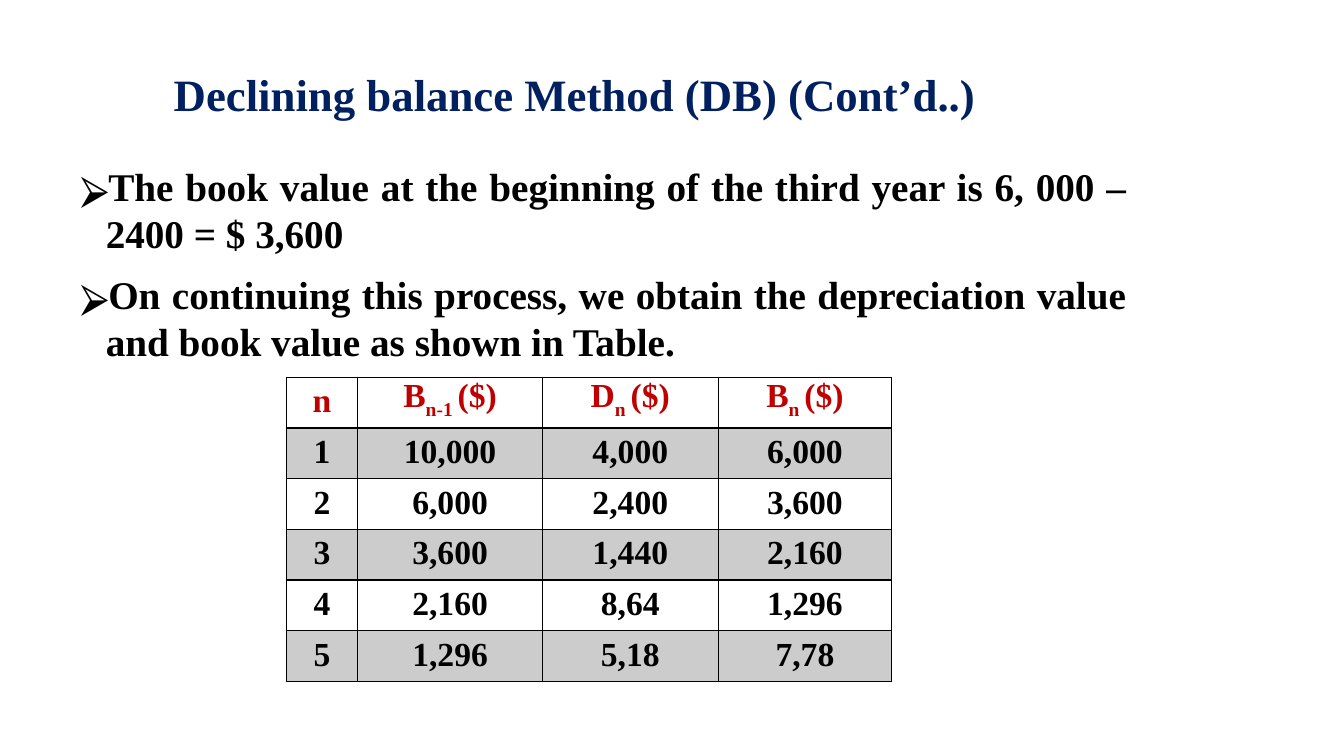
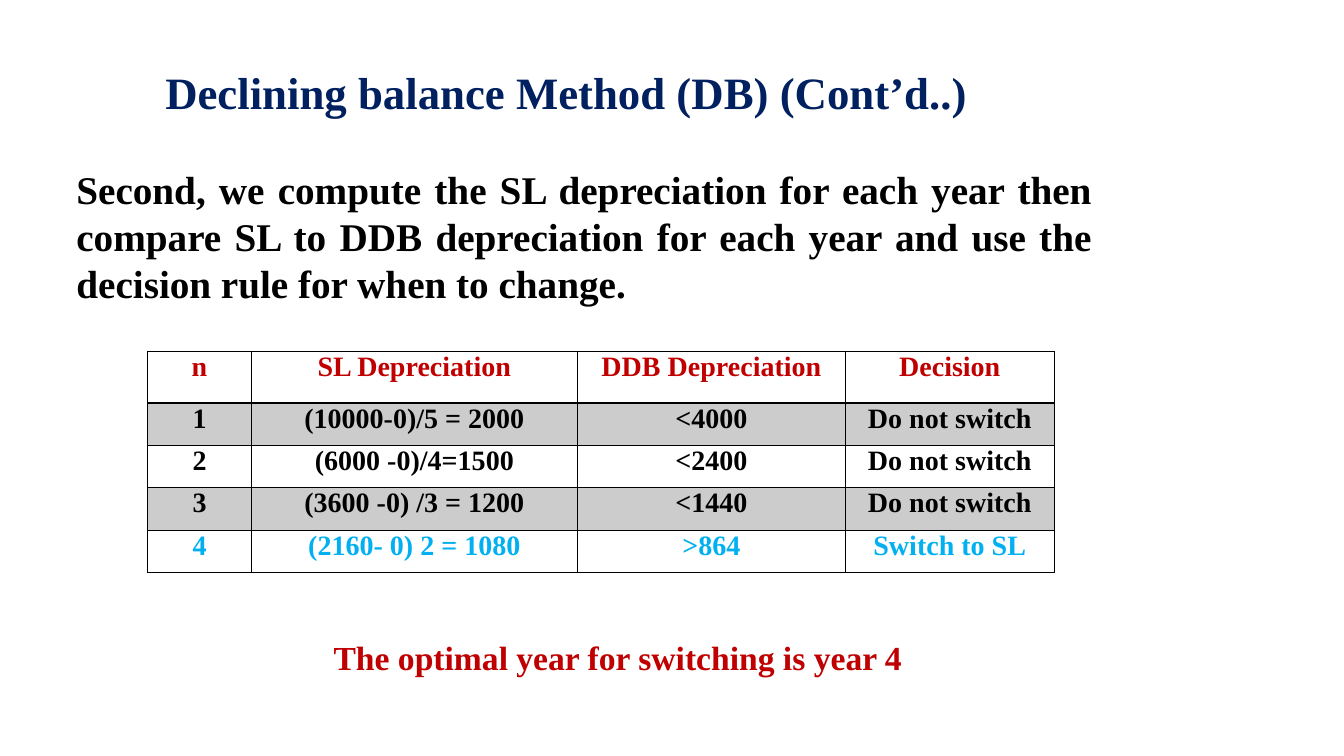
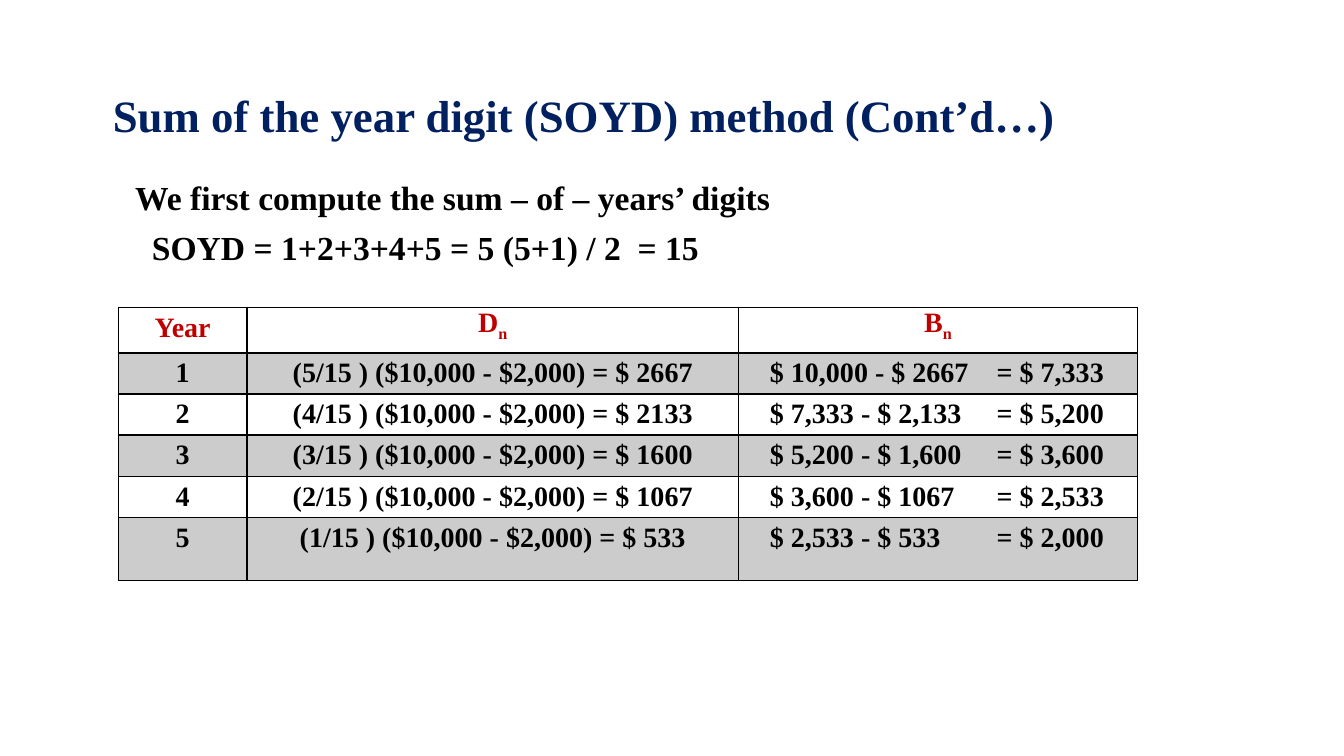
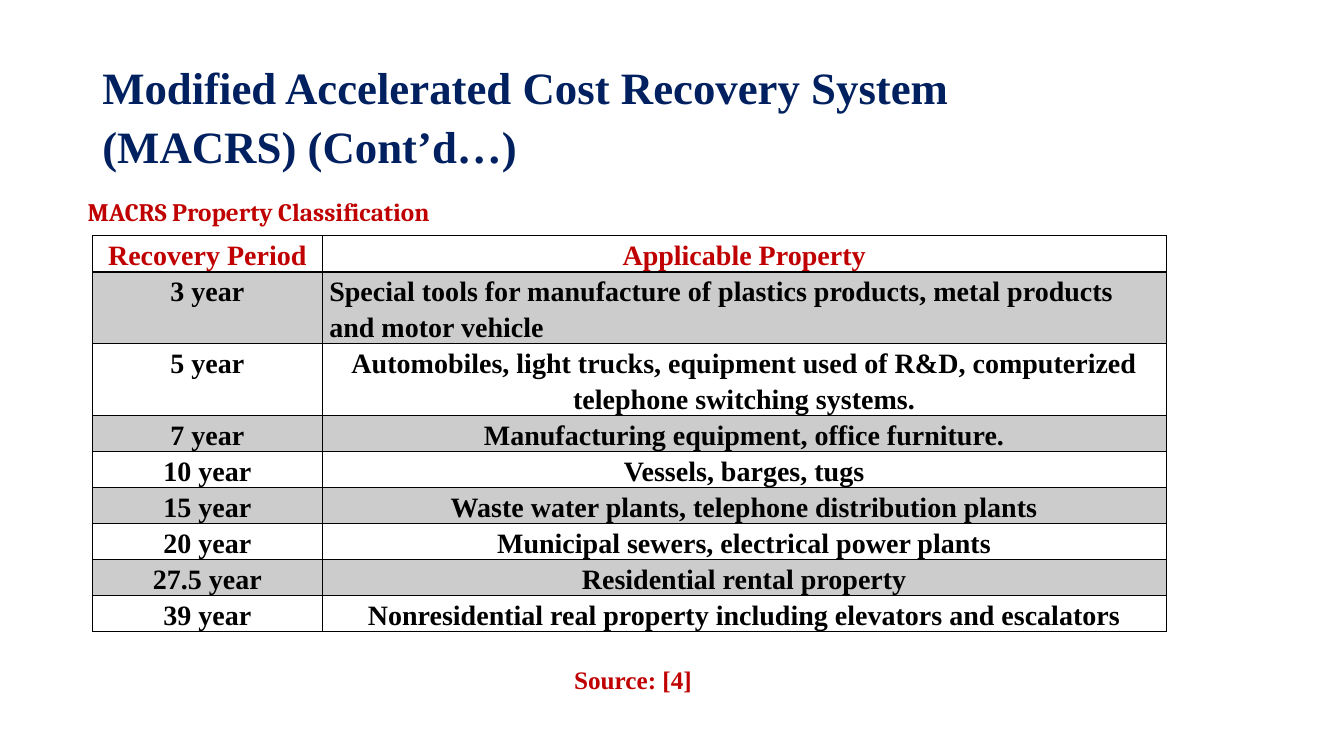
import pptx
import pptx.util
import pptx.dml.color
import pptx.enum.text
import pptx.oxml.ns
import lxml.etree

Pt = pptx.util.Pt
ALIGN = pptx.enum.text.PP_ALIGN
ANCHOR = pptx.enum.text.MSO_ANCHOR

COLORS = {
    "title": "002060",
    "accent": "C00000",
    "text": "000000",
    "switch": "00B0F0",
    "band": "CCCCCC",
}
SERIF = "Times New Roman"
TIGHT_MARGINS = (5, 0, 5, 0)
ROOMY_MARGINS = (7.2, 3.6, 7.2, 3.6)


def rgb(name):
    return pptx.dml.color.RGBColor.from_string(COLORS[name])


def add_xml(parent, tag, **attributes):
    element = lxml.etree.SubElement(parent, pptx.oxml.ns.qn(tag))
    for key, value in attributes.items():
        element.set(key, str(value))
    return element


def add_bullet(paragraph, indent):
    properties = paragraph._p.get_or_add_pPr()
    properties.set("marL", str(Pt(indent)))
    properties.set("indent", str(-Pt(indent)))
    color = add_xml(properties, "a:buClr")
    add_xml(color, "a:srgbClr", val=COLORS["text"])
    add_xml(properties, "a:buFont", typeface="Noto Sans Symbols")
    add_xml(properties, "a:buChar", char="⮚")


def add_tab_stop(paragraph, position):
    tabs = add_xml(paragraph._p.get_or_add_pPr(), "a:tabLst")
    add_xml(tabs, "a:tab", pos=Pt(position), algn="l")


def style(paragraph, size, color, align=ALIGN.LEFT, spacing=1.0, font=SERIF):
    paragraph.alignment = align
    paragraph.line_spacing = spacing
    paragraph.font.name = font
    paragraph.font.size = Pt(size)
    paragraph.font.bold = True
    paragraph.font.color.rgb = rgb(color)


def add_text(slide, box, lines, size, color, align=ALIGN.LEFT, spacing=1.0,
             font=SERIF, anchor=ANCHOR.TOP, bullet_indent=0, indents=()):
    frame = slide.shapes.add_textbox(*map(Pt, box)).text_frame
    frame.word_wrap = True
    frame.vertical_anchor = anchor
    for index, line in enumerate(lines):
        paragraph = frame.add_paragraph() if index else frame.paragraphs[0]
        paragraph.add_run().text = line
        if bullet_indent:
            add_bullet(paragraph, bullet_indent)
        if indents:
            paragraph._p.get_or_add_pPr().set("marL", str(Pt(indents[index])))
        style(paragraph, size, color, align, spacing, font)
        if index:
            paragraph.space_before = Pt(10)


def add_title(slide, box, title, spacing=0.9):
    add_text(slide, box, [title], 32, "title", spacing=spacing, anchor=ANCHOR.MIDDLE)


def add_borders(cell, bottom_width):
    properties = cell._tc.get_or_add_tcPr()
    for side, width in (("L", 1), ("R", 1), ("T", 1), ("B", bottom_width)):
        line = add_xml(properties, f"a:ln{side}", w=Pt(width))
        fill = add_xml(line, "a:solidFill")
        add_xml(fill, "a:srgbClr", val=COLORS["text"])


def fill_text(paragraph, content):
    parts = (content,) if isinstance(content, str) else content
    for index, part in enumerate(parts):
        run = paragraph.add_run()
        run.text = part
        if index == 1:
            run._r.get_or_add_rPr().set("baseline", "-25000")


def add_grid(slide, corner, widths, heights, rows, size, spacing=1.0,
             margins=TIGHT_MARGINS, row_colors={}, left_cells=(),
             tab_margin=0, tab_position=0):
    box = (*corner, sum(widths), sum(heights))
    table = slide.shapes.add_table(len(rows), len(widths), *map(Pt, box)).table
    table.first_row = False
    table.horz_banding = False
    for column, width in zip(table.columns, widths):
        column.width = Pt(width)
    for row, height in zip(table.rows, heights):
        row.height = Pt(height)
    for r, row in enumerate(rows):
        color = row_colors.get(r, "text" if r else "accent")
        for c, content in enumerate(row):
            cell = table.cell(r, c)
            (cell.margin_left, cell.margin_top,
             cell.margin_right, cell.margin_bottom) = map(Pt, margins)
            add_borders(cell, 1 if r else 2)
            if r % 2:
                cell.fill.solid()
                cell.fill.fore_color.rgb = rgb("band")
            else:
                cell.fill.background()
            paragraph = cell.text_frame.paragraphs[0]
            fill_text(paragraph, content)
            align = ALIGN.LEFT if (r, c) in left_cells else ALIGN.CENTER
            if "\t" in content:
                cell.margin_left = Pt(tab_margin)
                add_tab_stop(paragraph, tab_position)
                align = ALIGN.LEFT
            style(paragraph, size, color, align, spacing)


def build_book_values(slide):
    add_text(slide, (50.5, 112.5, 761, 342.5), [
        "The book value at the beginning of the third year is 6, 000 – 2400 = $ 3,600",
        "On continuing this process, we obtain the depreciation value and book value as shown in Table.",
    ], 28, "text", ALIGN.JUSTIFY, bullet_indent=18)
    add_title(slide, (117, 17, 828, 104), "Declining balance Method (DB) (Cont’d..)")
    add_grid(slide, (204.5, 269.5), (51, 132, 125.5, 124), [36.2] * 6, [
        ("n", ("B", "n-1 ", "($)"), ("D", "n ", "($)"), ("B", "n ", "($)")),
        ("1", "10,000", "4,000", "6,000"),
        ("2", "6,000", "2,400", "3,600"),
        ("3", "3,600", "1,440", "2,160"),
        ("4", "2,160", "8,64", "1,296"),
        ("5", "1,296", "5,18", "7,78"),
    ], 24, Pt(30.6))


def build_switch_decision(slide):
    add_text(slide, (47.5, 114.5, 739.5, 342.5), [
        "Second, we compute the SL depreciation for each year then compare SL to DDB "
        "depreciation for each year and use the decision rule for when to change.",
    ], 28, "text", ALIGN.JUSTIFY)
    add_grid(slide, (105.5, 251), (74, 233, 191.5, 149), [37] + [30.25] * 4, [
        ("n", "SL Depreciation", "DDB Depreciation", "Decision"),
        ("1", "(10000-0)/5 = 2000", "<4000", "Do not switch"),
        ("2", "(6000 -0)/4=1500", "<2400", "Do not switch"),
        ("3", "(3600 -0) /3 = 1200", "<1440", "Do not switch"),
        ("4", "(2160- 0) 2 = 1080", ">864", "Switch to SL"),
    ], 20, row_colors={4: "switch"})
    add_text(slide, (226, 451.5, 430.5, 36),
             ["The optimal year for switching is year 4"], 24, "accent", ALIGN.CENTER)
    add_title(slide, (111, 15.5, 828, 104), "Declining balance Method (DB) (Cont’d..)")


def build_year_digits(slide):
    add_text(slide, (89.5, 126, 648, 87), [
        "We first compute the sum – of – years’ digits",
        "SOYD = 1+2+3+4+5 = 5 (5+1) / 2  = 15",
    ], 24, "text", spacing=0.9, indents=(0, 12))
    shares = [(5, "2667"), (4, "2133"), (3, "1600"), (2, "1067"), (1, "533")]
    balances = [
        "$ 10,000 - $ 2667\t= $ 7,333",
        "$ 7,333 - $ 2,133\t= $ 5,200",
        "$ 5,200 - $ 1,600\t= $ 3,600",
        "$ 3,600 - $ 1067\t= $ 2,533",
        "$ 2,533 - $ 533\t= $ 2,000",
    ]
    rows = [("Year", ("D", "n"), ("B", "n"))]
    for year, ((digit, amount), balance) in enumerate(zip(shares, balances), 1):
        rows.append((str(year), f"({digit}/15 ) ($10,000 - $2,000) = $ {amount}", balance))
    add_grid(slide, (84.5, 219.5), (92, 351, 285), [32.5] + [29.4] * 4 + [45], rows, 20,
             Pt(22), margins=ROOMY_MARGINS, tab_margin=22.5, tab_position=162)
    add_title(slide, (73.5, 32.5, 828, 104), "Sum of the year digit (SOYD) method (Cont’d…)")


def build_property_classes(slide):
    add_title(slide, (66, 29, 746, 104),
              "Modified Accelerated Cost Recovery System (MACRS) (Cont’d…)", 1.1)
    add_grid(slide, (66, 168.5), (164.25, 602.75), [25.7] + [51.4] * 2 + [25.7] * 6, [
        ("Recovery Period", "Applicable Property"),
        ("3 year", "Special tools for manufacture of plastics products, metal products and motor vehicle"),
        ("5 year", "Automobiles, light trucks, equipment used of R&D, computerized telephone switching systems."),
        ("7 year", "Manufacturing equipment, office furniture."),
        ("10 year", "Vessels, barges, tugs"),
        ("15 year", "Waste water plants, telephone distribution plants"),
        ("20 year", "Municipal sewers, electrical power plants"),
        ("27.5 year", "Residential rental property"),
        ("39 year", "Nonresidential real property including elevators and escalators"),
    ], 20, Pt(25.6), left_cells={(1, 1)})
    add_text(slide, (55.5, 133.5, 279, 31), ["MACRS Property Classification"],
             18, "accent", spacing=1.15, font="Cambria")
    add_text(slide, (403, 468, 104.5, 32), ["Source: [4]"], 18, "accent", spacing=1.15)


def main():
    deck = pptx.Presentation()
    deck.slide_width = Pt(960)
    deck.slide_height = Pt(540)
    for build in (build_book_values, build_switch_decision,
                  build_year_digits, build_property_classes):
        build(deck.slides.add_slide(deck.slide_layouts[6]))
    deck.save("out.pptx")


if __name__ == "__main__":
    main()
